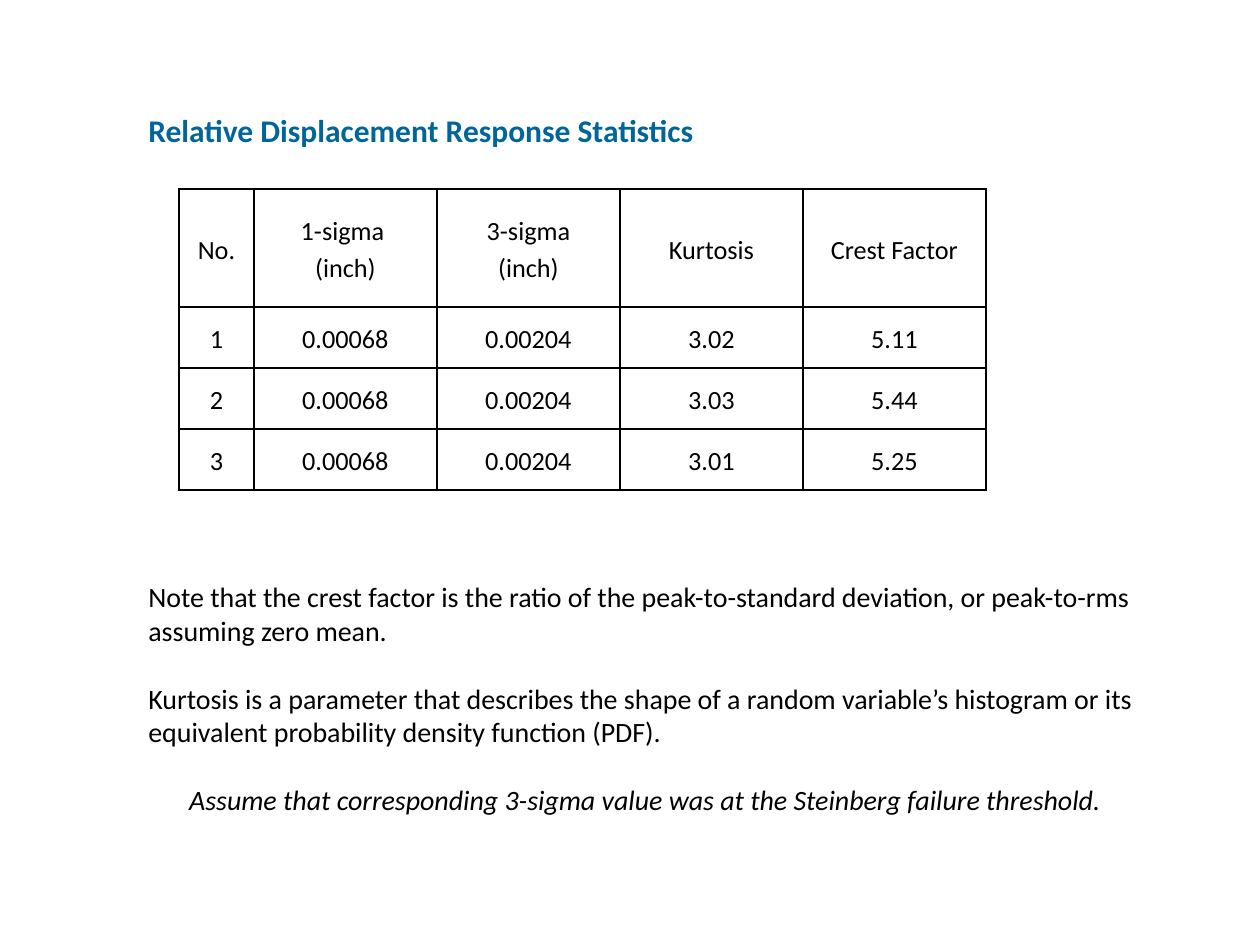
import pptx
import pptx.util
import pptx.dml.color
import pptx.enum.text
import pptx.oxml
import pptx.oxml.ns

EMU_PER_PX = 914400 / 126
FONT = "Calibri"
BLACK = pptx.dml.color.RGBColor(0x00, 0x00, 0x00)
TITLE_BLUE = pptx.dml.color.RGBColor(0x00, 0x66, 0x99)
CENTER = pptx.enum.text.PP_ALIGN.CENTER


def px(length):
    return pptx.util.Emu(round(length * EMU_PER_PX))


def style(paragraph, size, color=BLACK, bold=False, italic=False):
    font = paragraph.font
    font.name = FONT
    font.size = pptx.util.Pt(size)
    font.color.rgb = color
    font.bold = bold
    font.italic = italic


presentation = pptx.Presentation()
presentation.slide_width = px(1260)
presentation.slide_height = px(945)
slide = presentation.slides.add_slide(presentation.slide_layouts[6])

# Explanatory notes
notes = [
    "Note that the crest factor is the ratio of the peak-to-standard deviation, "
    "or peak-to-rms assuming zero mean.",
    "Kurtosis is a parameter that describes the shape of a random variable’s "
    "histogram or its equivalent probability density function (PDF).",
    "Assume that corresponding 3-sigma value was at the Steinberg failure threshold.",
]
notes_frame = slide.shapes.add_textbox(px(136), px(535), px(1018), px(326)).text_frame
notes_frame.word_wrap = True
notes_frame.margin_top = px(45)
notes_frame.text = "\n".join(notes)
for paragraph in notes_frame.paragraphs:
    style(paragraph, 16)
    paragraph.space_after = pptx.util.Pt(19.5)
conclusion = notes_frame.paragraphs[-1]
conclusion.font.italic = True
conclusion.alignment = CENTER

# Statistics table
rows = [
    ["No.", "1-sigma \n(inch)", "3-sigma\n(inch)", "Kurtosis", "Crest Factor"],
    ["1", "0.00068", "0.00204", "3.02", "5.11"],
    ["2", "0.00068", "0.00204", "3.03", "5.44"],
    ["3", "0.00068", "0.00204", "3.01", "5.25"],
]
column_widths = [75] + [183] * 4
row_heights = [118] + [61] * 3
table = slide.shapes.add_table(
    len(rows), len(column_widths), px(179), px(189),
    px(sum(column_widths)), px(sum(row_heights))).table
table.first_row = False
table.horz_banding = False
for column, width in zip(table.columns, column_widths):
    column.width = px(width)
for row, height in zip(table.rows, row_heights):
    row.height = px(height)

for row, texts in zip(table.rows, rows):
    for cell, text in zip(row.cells, texts):
        cell.text = text
        cell.vertical_anchor = pptx.enum.text.MSO_ANCHOR.MIDDLE
        cell.margin_left = cell.margin_right = px(9)
        cell.margin_top = cell.margin_bottom = 0
        cell.fill.background()
        for paragraph in cell.text_frame.paragraphs:
            style(paragraph, 15)
            paragraph.alignment = CENTER
            paragraph.line_spacing = 1.15
        # Cell borders come before the fill in the cell properties
        properties = cell._tc.get_or_add_tcPr()
        for position, side in enumerate(("lnL", "lnR", "lnT", "lnB")):
            border = pptx.oxml.parse_xml(
                f'<a:{side} {pptx.oxml.ns.nsdecls("a")} w="{pptx.util.Pt(1)}">'
                f'<a:solidFill><a:srgbClr val="{BLACK}"/></a:solidFill></a:{side}>')
            properties.insert(position, border)

# Title
title_frame = slide.shapes.add_textbox(px(136), px(105), px(766), px(50)).text_frame
title_frame.word_wrap = True
title_frame.text = "Relative Displacement Response Statistics"
style(title_frame.paragraphs[0], 18, TITLE_BLUE, bold=True)

presentation.save("out.pptx")
